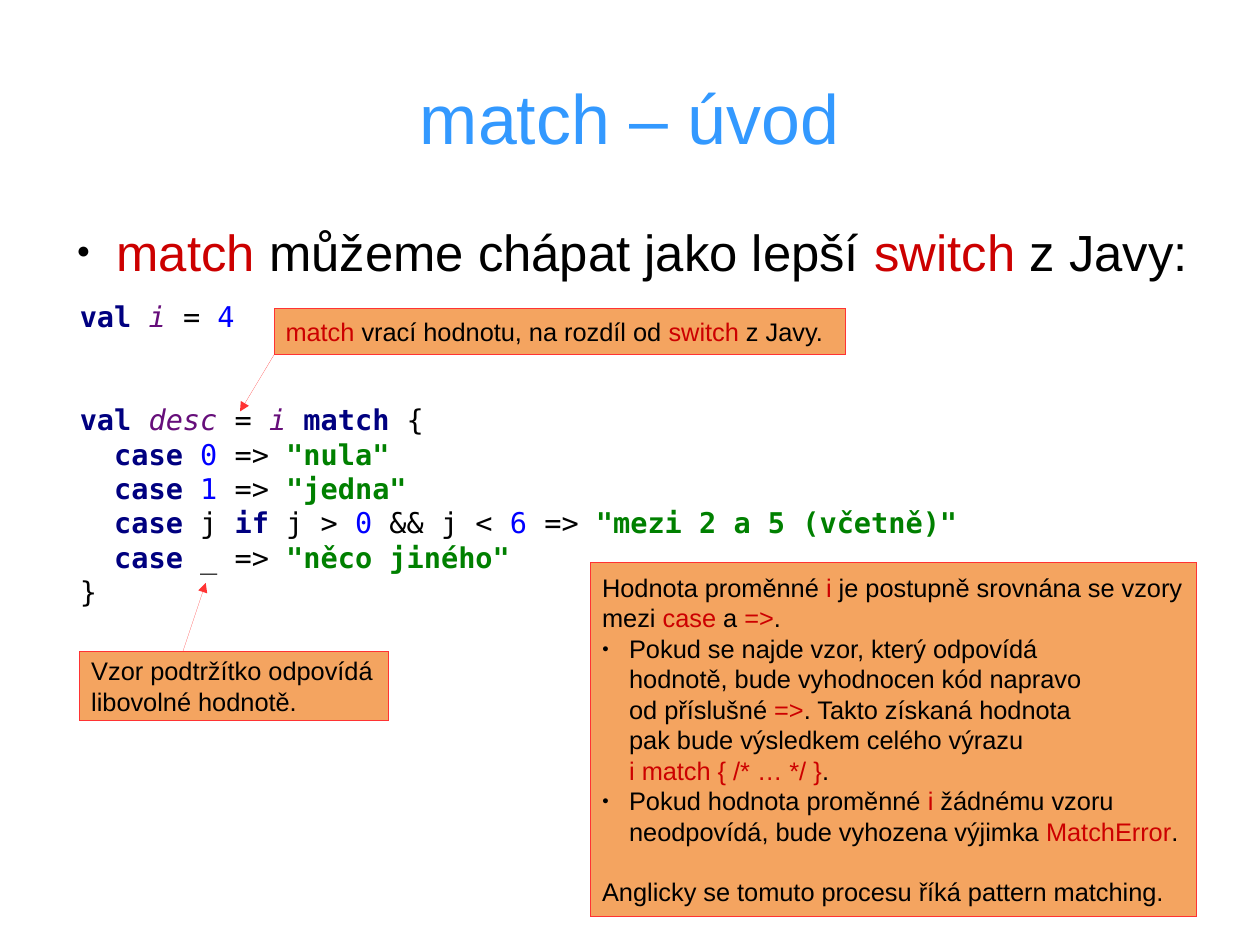
from copy import deepcopy

from pptx import Presentation
from pptx.dml import color
from pptx.enum import shapes, text
from pptx.oxml import ns, xmlchemy
from pptx.util import Pt

BLACK, RED, BLUE = "000000", "CC0000", "3399FF"
BOX_FILL, BOX_LINE = "F4A460", "FF3333"
CODE_STYLES = {
    "keyword": ("000080", True, False),
    "name": ("660E7A", False, True),
    "number": ("0000FF", False, False),
    "string": ("008000", True, False),
    "plain": (BLACK, False, False),
}
CODE_INDENT = 21.67
CASES = [
    [("0 ", "number"), ("=> ", "plain"), ('"nula"', "string")],
    [("1 ", "number"), ("=> ", "plain"), ('"jedna"', "string")],
    [("j ", "plain"), ("if ", "keyword"), ("j > ", "plain"), ("0 ", "number"),
     ("&& j < ", "plain"), ("6 ", "number"), ("=> ", "plain"),
     ('"mezi 2 a 5 (včetně)"', "string")],
    [("_ => ", "plain"), ('"něco jiného"', "string")],
]
RETURN_NOTE = ["|match| vrací hodnotu, na rozdíl od |switch| z Javy."]
WILDCARD_NOTE = ["Vzor podtržítko odpovídá", "libovolné hodnotě."]
MATCHING_NOTE = [
    "Hodnota proměnné |i| je postupně srovnána se vzory",
    "mezi |case| a |=>|.",
    "Pokud se najde vzor, který odpovídá\nhodnotě, bude vyhodnocen kód napravo\n"
    "od příslušné |=>|. Takto získaná hodnota\npak bude výsledkem celého výrazu\n"
    "|i match { /* … */ }|.",
    "Pokud hodnota proměnné |i| žádnému vzoru\n"
    "neodpovídá, bude vyhozena výjimka |MatchError|.",
    "Anglicky se tomuto procesu říká pattern matching.",
]


def rgb(value):
    return color.RGBColor.from_string(value)


def add_run(paragraph, content, size, hex_color, font="Arial", bold=False, italic=False):
    run = paragraph.add_run()
    run.text = content
    run.font.name = font
    run.font.size = Pt(size)
    run.font.bold = bold
    run.font.italic = italic
    run.font.color.rgb = rgb(hex_color)


def write_marked(paragraph, content, size, base=BLACK):
    for index, piece in enumerate(content.split("|")):
        for number, line in enumerate(piece.split("\n")):
            if number:
                paragraph.add_line_break()
            if line:
                add_run(paragraph, line, size, RED if index % 2 else base)
    for line_break in paragraph._p.findall(ns.qn("a:br")):
        line_break.insert(0, deepcopy(paragraph.runs[0]._r.rPr))


def make_element(tag, **attributes):
    element = xmlchemy.OxmlElement(tag)
    for name, value in attributes.items():
        element.set(name, value)
    return element


def set_indent(paragraph, left, first=0):
    properties = paragraph._p.get_or_add_pPr()
    properties.set("marL", str(Pt(left)))
    properties.set("indent", str(Pt(first)))
    return properties


def add_bullet(paragraph, left, hanging):
    properties = set_indent(paragraph, left, -hanging)
    bullet_color = make_element("a:buClr")
    bullet_color.append(make_element("a:srgbClr", val=BLACK))
    properties.extend([
        bullet_color,
        make_element("a:buSzPct", val="45000"),
        make_element("a:buFont", typeface="Arial"),
        make_element("a:buChar", char="●"),
    ])


def set_hairline(line):
    line.color.rgb = rgb(BOX_LINE)
    outline = line._get_or_add_ln()
    outline.set("w", "0")
    return outline


def set_frame(frame, insets, anchor):
    frame.word_wrap = True
    frame.vertical_anchor = anchor
    frame.margin_left, frame.margin_top, frame.margin_right, frame.margin_bottom = map(Pt, insets)


def add_text(slide, left, top, width, height, insets=(0, 0, 0, 0), anchor=text.MSO_ANCHOR.TOP):
    shape = slide.shapes.add_textbox(Pt(left), Pt(top), Pt(width), Pt(height))
    set_frame(shape.text_frame, insets, anchor)
    return shape.text_frame


def next_paragraph(frame, index):
    return frame.add_paragraph() if index else frame.paragraphs[0]


def add_note(slide, left, top, width, height, lines):
    shape = slide.shapes.add_shape(
        shapes.MSO_SHAPE.RECTANGLE, Pt(left), Pt(top), Pt(width), Pt(height))
    shape.shadow.inherit = False
    shape.fill.solid()
    shape.fill.fore_color.rgb = rgb(BOX_FILL)
    set_hairline(shape.line)
    frame = shape.text_frame
    set_frame(frame, (7.2, 3.6, 0, 3.6), text.MSO_ANCHOR.MIDDLE)
    for index, line in enumerate(lines):
        paragraph = next_paragraph(frame, index)
        paragraph.alignment = text.PP_ALIGN.LEFT
        write_marked(paragraph, line, 16)
    return frame.paragraphs


def add_code(slide):
    lines = [
        [("val ", "keyword"), ("i ", "name"), ("= ", "plain"), ("4", "number")],
        [("val ", "keyword"), ("desc ", "name"), ("= ", "plain"), ("i ", "name"),
         ("match ", "keyword"), ("{", "plain")],
        *[[("case ", "keyword"), *case] for case in CASES],
        [("}", "plain")],
    ]
    frame = add_text(slide, 43.2, 185.04, 580.32, 197.28, (7.2, 3.6, 7.2, 3.6))
    for index, tokens in enumerate(lines):
        paragraph = next_paragraph(frame, index)
        if tokens[0][0] == "case ":
            set_indent(paragraph, CODE_INDENT)
        for content, style in tokens:
            hex_color, bold, italic = CODE_STYLES[style]
            add_run(paragraph, content, 18, hex_color, "DejaVu Sans Mono", bold, italic)
    frame.paragraphs[1].space_before = Pt(43.3)


def add_arrow(slide, start, end):
    arrow = slide.shapes.add_connector(
        shapes.MSO_CONNECTOR.STRAIGHT, *map(Pt, start), *map(Pt, end))
    set_hairline(arrow.line).append(make_element("a:tailEnd", type="triangle"))
    arrow._element.spPr.append(make_element("a:effectLst"))


def main():
    presentation = Presentation()
    presentation.slide_width, presentation.slide_height = Pt(793.7), Pt(595.28)
    slide = presentation.slides.add_slide(presentation.slide_layouts[6])

    title = add_text(slide, 39.6, 23.76, 714.24, 99.36, anchor=text.MSO_ANCHOR.MIDDLE)
    title.paragraphs[0].alignment = text.PP_ALIGN.CENTER
    write_marked(title.paragraphs[0], "match – úvod", 44, BLUE)

    body = add_text(slide, 39.6, 138.96, 714.24, 344.88)
    write_marked(body.paragraphs[0], "|match| můžeme chápat jako lepší |switch| z Javy:", 32)
    add_bullet(body.paragraphs[0], 33.84, 25.2)

    add_note(slide, 172.8, 194.4, 360, 28.8, RETURN_NOTE)
    add_code(slide)
    add_arrow(slide, (172.8, 223.2), (151.2, 259.2))

    matching = add_note(slide, 372.24, 354.24, 381.6, 223.2, MATCHING_NOTE)
    for paragraph in matching[2:4]:
        add_bullet(paragraph, 17, 17)
    matching[4].space_before = Pt(19)

    add_note(slide, 50.4, 410.4, 194.4, 43.2, WILDCARD_NOTE)
    add_arrow(slide, (115.2, 410.4), (129.6, 367.2))
    presentation.save("out.pptx")


if __name__ == "__main__":
    main()
